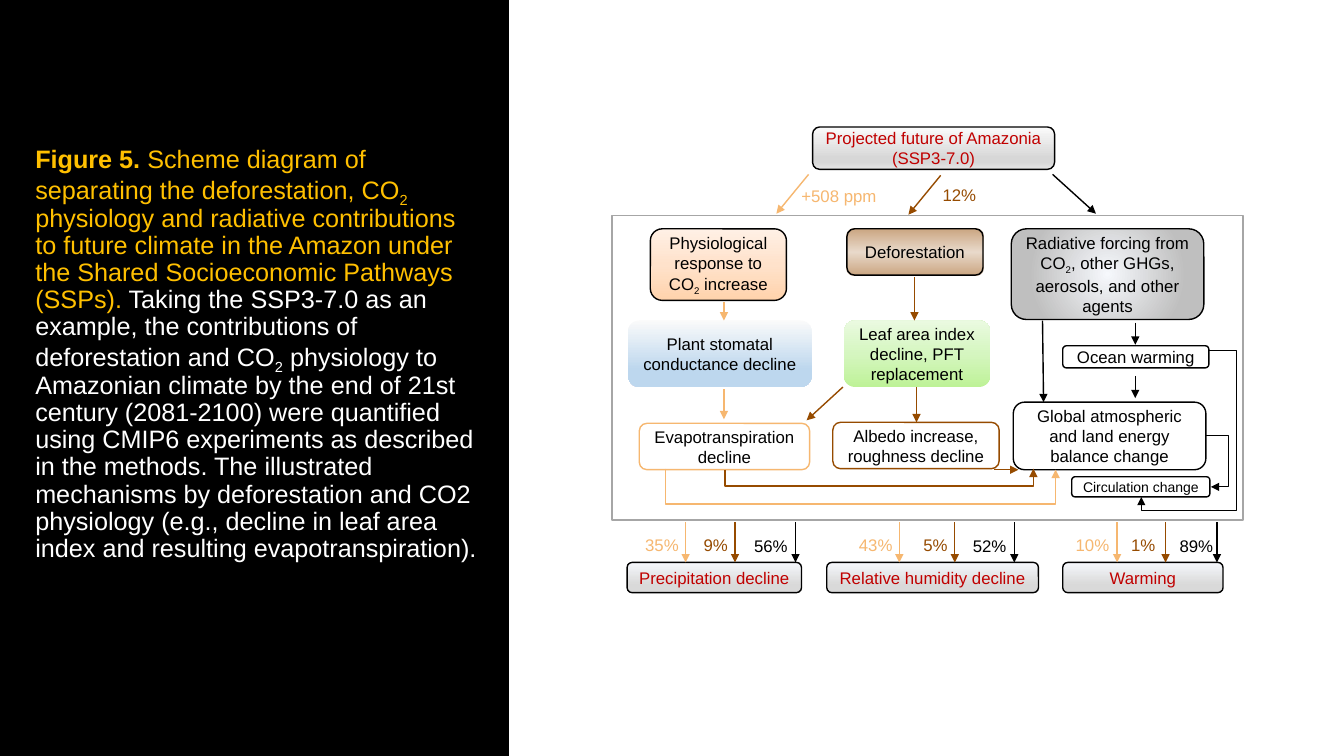
from lxml import etree
from pptx import Presentation
from pptx import oxml
from pptx import util as u
from pptx.dml import color
from pptx.enum import shapes, text
from pptx.oxml import ns

COLORS = {
    "black": "000000", "white": "FFFFFF", "gold": "FFC000", "red": "C00000",
    "orange": "F6B770", "brown": "964B00", "gray": "A6A6A6",
}
GRADIENTS = {
    "future": (90, [(0, "FAFAFA", 100), (74, "D7D7D7", 100), (83, "D7D7D7", 100), (100, "E4E4E4", 100)]),
    "outcome": (90, [(0, "F6F8FC", 100), (74, "D9D9D9", 100), (100, "D9D9D9", 100)]),
    "radiative": (None, [(0, "F6F8FC", 100), (74, "BFBFBF", 100), (100, "BFBFBF", 100)]),
    "physiology": (270, [(0, "FFD3AC", 100), (50, "FFE2CB", 100), (100, "FFF0E5", 100)]),
    "stomata": (90, [(0, "FAFAFA", 100), (74, "BDD7EE", 100), (100, "BDD7EE", 100)]),
    "deforestation": (270, [(0, "964B00", 50), (50, "964B00", 20), (100, "964B00", 50)]),
    "leaf": (270, [(0, "BEF297", 100), (50, "D5F6C0", 100), (100, "EAFAE0", 100)]),
}


def rgb(name):
    return color.RGBColor.from_string(COLORS[name])


def write_runs(paragraph, words, ink, size, bold=False):
    font_format = {"name": "Arial", "size": u.Pt(size), "bold": bold}
    for index, part in enumerate(words.split("₂")):
        pieces = [("2", True), (part, False)] if index else [(part, False)]
        for piece, subscript in pieces:
            run = paragraph.add_run()
            run.text = piece
            for name, value in font_format.items():
                setattr(run.font, name, value)
            run.font.color.rgb = rgb(ink)
            if subscript:
                run.font._element.set("baseline", "-25000")


presentation = Presentation()
presentation.slide_width = u.Inches(13.33)
presentation.slide_height = u.Inches(7.5)
slide = presentation.slides.add_slide(presentation.slide_layouts[1])
slide.background.fill.solid()
slide.background.fill.fore_color.rgb = rgb("black")
title = slide.shapes.title.element
title.getparent().remove(title)

caption = slide.placeholders[1]
caption_place = {"left": 0.25, "top": 1.41, "width": 4.61, "height": 5.41}
for name, value in caption_place.items():
    setattr(caption, name, u.Inches(value))
caption.text_frame.auto_size = text.MSO_AUTO_SIZE.NONE
caption.text_frame.vertical_anchor = text.MSO_ANCHOR.TOP
paragraph = caption.text_frame.paragraphs[0]
paragraph_format = {"line_spacing": 0.9, "space_before": u.Pt(0), "space_after": u.Pt(6)}
for name, value in paragraph_format.items():
    setattr(paragraph, name, value)
properties = paragraph._p.get_or_add_pPr()
properties.set("marL", "0")
properties.set("indent", "0")
etree.SubElement(properties, ns.qn("a:buNone"))
write_runs(paragraph, "Figure 5. ", "gold", 18, True)
write_runs(paragraph, "Scheme diagram of separating the deforestation, CO₂ physiology and radiative "
           "contributions to future climate in the Amazon under the Shared Socioeconomic "
           "Pathways (SSPs).", "gold", 18)
write_runs(paragraph, " Taking the SSP3-7.0 as an example, the contributions of deforestation and CO₂ "
           "physiology to Amazonian climate by the end of 21st century (2081-2100) were quantified "
           "using CMIP6 experiments as described in the methods. The illustrated mechanisms by "
           "deforestation and CO2 physiology (e.g., decline in leaf area index and resulting "
           "evapotranspiration).", "white", 18)

backdrop = slide.shapes.add_shape(shapes.MSO_SHAPE.RECTANGLE, u.Inches(5.05), 0, u.Inches(8.28), u.Inches(7.5))
backdrop.shadow.inherit = False
backdrop.fill.solid()
backdrop.fill.fore_color.rgb = rgb("white")
backdrop.line.fill.background()

frame = slide.shapes.add_shape(
    shapes.MSO_SHAPE.RECTANGLE, u.Inches(6.07), u.Inches(2.14), u.Inches(6.26), u.Inches(3.02))
frame.shadow.inherit = False
frame.fill.background()
frame.line.color.rgb = rgb("gray")
frame.line.width = u.Pt(1)

boxes = [
    ("Projected future of Amazonia (SSP3-7.0)", 8.06, 1.26, 2.4, 0.42, "future", "black", "red", 12),
    ("Radiative forcing from CO₂, other GHGs, aerosols, and other agents",
     10.03, 2.27, 1.91, 0.9, "radiative", "black", "black", 12),
    ("Physiological response to CO₂ increase", 6.45, 2.27, 1.35, 0.71, "physiology", "black", "black", 12),
    ("Deforestation", 8.4, 2.27, 1.35, 0.46, "deforestation", "black", "black", 12),
    ("Plant stomatal conductance decline", 6.23, 3.18, 1.82, 0.66, "stomata", None, "black", 12),
    ("Leaf area index decline, PFT replacement", 8.37, 3.18, 1.45, 0.66, "leaf", None, "black", 12),
    ("Evapotranspiration decline", 6.34, 4.2, 1.69, 0.46, None, "orange", "black", 12),
    ("Albedo increase, roughness decline", 8.26, 4.19, 1.65, 0.46, None, "brown", "black", 12),
    ("Ocean warming", 10.54, 3.43, 1.45, 0.22, None, "black", "black", 12),
    ("Global atmospheric and land energy balance change",
     10.05, 3.99, 1.91, 0.67, None, "black", "black", 12),
    ("Circulation change", 10.63, 4.73, 1.37, 0.2, None, "black", "black", 10),
]
arrows = [
    ("orange", 1, [(8.02, 1.73), (7.7, 2.12)]),
    ("brown", 1, [(9.33, 1.74), (9.01, 2.13)]),
    ("black", 1, [(10.44, 1.73), (10.87, 2.12)]),
    ("orange", 1, [(7.18, 3), (7.18, 3.18)]),
    ("orange", 1, [(7.18, 3.86), (7.18, 4.16)]),
    ("brown", 1, [(9.07, 2.75), (9.07, 3.18)]),
    ("brown", 1, [(9.09, 3.84), (9.09, 4.19)]),
    ("brown", 1, [(8.36, 3.84), (8, 4.17)]),
    ("brown", 1, [(9.86, 4.66), (10.1, 4.66)]),
    ("black", 1, [(10.34, 3.18), (10.35, 3.99)]),
    ("black", 1, [(11.26, 3.2), (11.26, 3.42)]),
    ("black", 1, [(11.26, 3.73), (11.26, 3.95)]),
    ("black", 0.75, [(11.96, 4.32), (12.18, 4.32), (12.18, 4.83), (12.01, 4.83)]),
    ("black", 0.75, [(11.99, 3.48), (12.26, 3.48), (12.26, 5.06), (11.32, 5.06), (11.32, 4.93)]),
    ("orange", 1, [(6.6, 4.65), (6.6, 5), (10.47, 5), (10.47, 4.66)]),
    ("brown", 1, [(7.19, 4.66), (7.19, 4.82), (10.25, 4.82), (10.25, 4.65)]),
]
labels = [("+508 ppm", 7.85, 1.79, 0.97, "orange"), ("12%", 9.25, 1.78, 0.55, "brown")]

outcomes = [
    ("Precipitation decline", 6.22, 1.73, [("35%", 6.3, 6.8), ("9%", 6.88, 7.29), ("56%", 7.38, 7.89)]),
    ("Relative humidity decline", 8.2, 2.1, [("43%", 8.42, 8.92), ("5%", 9.06, 9.47), ("52%", 9.55, 10.06)]),
    ("Warming", 10.54, 1.59, [("10%", 10.57, 11.08), ("1%", 11.12, 11.56), ("89%", 11.6, 12.07)]),
]
for outcome, left, width, shares in outcomes:
    boxes.append((outcome, left, 5.58, width, 0.3, "outcome", "black", "red", 12))
    for (share, label_left, arrow_x), ink in zip(shares, ("orange", "brown", "black")):
        arrows.append((ink, 1, [(arrow_x, 5.18), (arrow_x, 5.58)]))
        label_top = 5.27 if ink == "black" else 5.26
        labels.append((share, label_left, label_top, 0.55, ink))

for words, left, top, width, height, gradient, outline, ink, size in boxes:
    box = slide.shapes.add_shape(
        shapes.MSO_SHAPE.ROUNDED_RECTANGLE, *map(u.Inches, (left, top, width, height)))
    box.shadow.inherit = False
    box.fill.background()
    if gradient:
        angle, stops = GRADIENTS[gradient]
        stop_xml = "".join(
            f'<a:gs pos="{position * 1000}"><a:srgbClr val="{shade}">'
            f'<a:alpha val="{opacity * 1000}"/></a:srgbClr></a:gs>'
            for position, shade, opacity in stops)
        direction = (
            '<a:path path="circle"><a:fillToRect l="50000" t="50000" r="50000" b="50000"/></a:path>'
            if angle is None else f'<a:lin ang="{angle * 60000}" scaled="0"/>')
        fill = oxml.parse_xml(
            f'<a:gradFill {ns.nsdecls("a")} rotWithShape="1"><a:gsLst>{stop_xml}</a:gsLst>{direction}</a:gradFill>')
        box_properties = box.element.spPr
        box_properties.replace(box_properties.find(ns.qn("a:noFill")), fill)
    if outline:
        box.line.color.rgb = rgb(outline)
        box.line.width = u.Pt(1)
    else:
        box.line.fill.background()
    box.text_frame.word_wrap = True
    box.text_frame.vertical_anchor = text.MSO_ANCHOR.MIDDLE
    paragraph = box.text_frame.paragraphs[0]
    paragraph.alignment = text.PP_ALIGN.CENTER
    write_runs(paragraph, words, ink, size)

for ink, weight, points in arrows:
    corners = [(u.Inches(x), u.Inches(y)) for x, y in points]
    if len(corners) == 2:
        arrow = slide.shapes.add_connector(shapes.MSO_CONNECTOR.STRAIGHT, *corners[0], *corners[1])
    else:
        builder = slide.shapes.build_freeform(*corners[0])
        builder.add_line_segments(corners[1:], close=False)
        arrow = builder.convert_to_shape()
        arrow.fill.background()
    arrow.line.color.rgb = rgb(ink)
    arrow.line.width = u.Pt(weight)
    arrow_properties = arrow.element.spPr
    etree.SubElement(arrow_properties.find(ns.qn("a:ln")), ns.qn("a:tailEnd"), type="triangle")
    etree.SubElement(arrow_properties, ns.qn("a:effectLst"))

for words, left, top, width, ink in labels:
    label = slide.shapes.add_textbox(*map(u.Inches, (left, top, width, 0.3)))
    label.text_frame.word_wrap = False
    write_runs(label.text_frame.paragraphs[0], words, ink, 12)

presentation.save("out.pptx")
